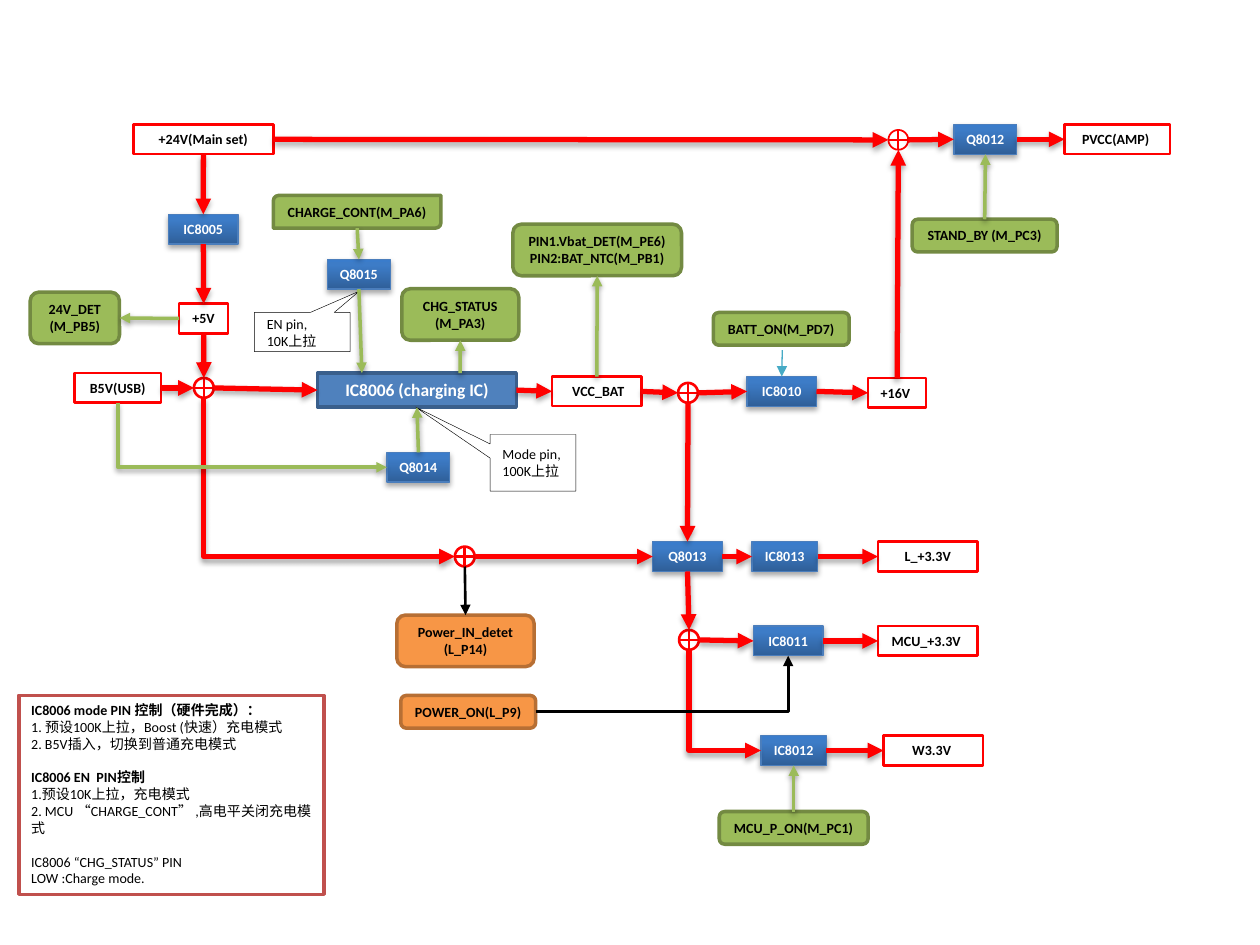
from copy import deepcopy
from lxml.etree import SubElement
from pptx import Presentation
from pptx.dml.color import RGBColor
from pptx.enum.shapes import MSO_CONNECTOR, MSO_SHAPE
from pptx.enum.text import MSO_ANCHOR, MSO_AUTO_SIZE, PP_ALIGN
from pptx.oxml.ns import qn
from pptx.util import Cm, Pt

RED = RGBColor(0xFF, 0x00, 0x00)
WHITE = RGBColor(0xFF, 0xFF, 0xFF)
BLACK = RGBColor(0x00, 0x00, 0x00)
GREEN = RGBColor(0x9B, 0xBB, 0x59)
DARK_GREEN = RGBColor(0x73, 0x8A, 0x42)
ORANGE = RGBColor(0xF7, 0x96, 0x46)
DARK_ORANGE = RGBColor(0xB7, 0x6F, 0x34)
BLUE = RGBColor(0x4F, 0x81, 0xBD)
DARK_BLUE = RGBColor(0x3A, 0x5F, 0x8C)
SWITCH_EDGE = RGBColor(0x4B, 0x7E, 0xBC)
SWITCH_STOPS = [(0, RGBColor(0x2F, 0x5F, 0x99)), (0.8, RGBColor(0x3D, 0x7C, 0xC7)),
                (1, RGBColor(0x3A, 0x7C, 0xCB))]
AQUA = RGBColor(0x46, 0xAA, 0xC5)
NOTE_RED = RGBColor(0xC0, 0x50, 0x4D)


class PowerDiagram:
    font = "Calibri"
    row = 0.6        # height of supply and switch boxes, cm
    junction_size = 0.4

    def __init__(self, slide):
        self.slide = slide

    def box(self, kind, left, top, width, height, fill, edge, weight):
        shape = self.slide.shapes.add_shape(kind, Cm(left), Cm(top), Cm(width), Cm(height))
        shape.shadow.inherit = False
        shape.fill.solid()
        shape.fill.fore_color.rgb = fill
        shape.line.color.rgb = edge
        shape.line.width = Pt(weight)
        return shape

    def label(self, shape, text, color=BLACK, size=8, bold=True, align=PP_ALIGN.CENTER,
              wrap=False, anchor=MSO_ANCHOR.TOP, grow=True):
        frame = shape.text_frame
        frame.text = text
        frame.word_wrap = wrap
        frame.vertical_anchor = anchor
        frame.auto_size = MSO_AUTO_SIZE.SHAPE_TO_FIT_TEXT if grow else MSO_AUTO_SIZE.NONE
        for paragraph in frame.paragraphs:
            paragraph.alignment = align
            for run in paragraph.runs:
                run.font.name = self.font
                run.font.size = Pt(size)
                run.font.bold = bold
                run.font.color.rgb = color
        return shape

    def cast_shadow(self, effects, opacity, distance):
        shadow = SubElement(effects, qn("a:outerShdw"), blurRad="40000", dist=str(distance),
                            dir="5400000", rotWithShape="0")
        black = SubElement(shadow, qn("a:srgbClr"), val="000000")
        SubElement(black, qn("a:alpha"), val=str(opacity * 1000))

    def supply(self, text, left, top, width):
        shape = self.box(MSO_SHAPE.RECTANGLE, left, top, width, self.row, WHITE, RED, 1.5)
        return self.label(shape, text, wrap=True)

    def switch(self, text, left, top, width):
        shape = self.box(MSO_SHAPE.RECTANGLE, left, top, width, self.row, BLUE, SWITCH_EDGE, 0.75)
        shape.fill.gradient()
        shape.fill.gradient_angle = 90
        properties = shape._element.spPr
        stop_list = properties.find(".//" + qn("a:gsLst"))
        stop_list.append(deepcopy(stop_list[-1]))
        for stop, (position, color) in zip(shape.fill.gradient_stops, SWITCH_STOPS):
            stop.position = position
            stop.color.rgb = color
        self.cast_shadow(properties.find(qn("a:effectLst")), 35, 23000)
        return self.label(shape, text, WHITE)

    def signal(self, text, left, top, width, height=0.66, fill=GREEN, edge=DARK_GREEN,
               kind=MSO_SHAPE.FLOWCHART_ALTERNATE_PROCESS, wrap=False):
        return self.label(self.box(kind, left, top, width, height, fill, edge, 2), text, wrap=wrap)

    def junction(self, left, top, weight=1.5):
        return self.box(MSO_SHAPE.FLOWCHART_OR, left, top, self.junction_size,
                        self.junction_size, WHITE, RED, weight)

    def callout(self, text, left, top, width, height, tip):
        shape = self.box(MSO_SHAPE.RECTANGULAR_CALLOUT, left, top, width, height,
                         WHITE, BLACK, 0.25)
        shape.adjustments[0], shape.adjustments[1] = tip
        self.label(shape, text, bold=False, align=PP_ALIGN.LEFT, wrap=True,
                   anchor=MSO_ANCHOR.MIDDLE, grow=False)

    def note(self, sections, left, top, width, height):
        shape = self.box(MSO_SHAPE.RECTANGLE, left, top, width, height, WHITE, NOTE_RED, 2)
        lines = [line for section in sections for line in section]
        self.label(shape, "\n".join(lines), bold=False, align=PP_ALIGN.LEFT, wrap=True)
        openings = [section[0] for section in sections]
        for paragraph in shape.text_frame.paragraphs[1:]:
            if paragraph.text in openings:
                paragraph.space_before = Pt(9.75)
        for paragraph in shape.text_frame.paragraphs:
            if "PIN" in paragraph.text and "控制" in paragraph.text:
                paragraph.runs[0].font.bold = True

    def edge_point(self, shape, side, shift=0):
        fx, fy = {"top": (0.5, 0), "bottom": (0.5, 1), "left": (0, 0.5), "right": (1, 0.5)}[side]
        return int(shape.left + shape.width * fx + Cm(shift)), int(shape.top + shape.height * fy)

    def arrow(self, start, end, color=RED, weight=3, bend=None):
        kind = MSO_CONNECTOR.ELBOW if bend else MSO_CONNECTOR.STRAIGHT
        line = self.slide.shapes.add_connector(kind, *start, *end)
        line.line.color.rgb = color
        line.line.width = Pt(weight)
        properties = line._element.spPr
        SubElement(properties.find(qn("a:ln")), qn("a:tailEnd"), type="triangle")
        effects = SubElement(properties, qn("a:effectLst"))
        if color in (RED, GREEN):
            self.cast_shadow(effects, *((35, 23000) if color == RED else (38, 20000)))
        if bend:
            properties.find(qn("a:prstGeom")).set("prst", "bentConnector2")
        if bend == "down first":
            wide, high = line.width, line.height
            line.left += (wide - high) // 2
            line.top += (high - wide) // 2
            line.width, line.height = high, wide
            frame = properties.find(qn("a:xfrm"))
            frame.set("rot", "16200000")
            frame.set("flipH", "1")

    def link(self, source, out_side, target, in_side, **style):
        self.arrow(self.edge_point(source, out_side), self.edge_point(target, in_side), **style)


prs = Presentation()
prs.slide_width, prs.slide_height = Cm(25.4), Cm(19.05)
diagram = PowerDiagram(prs.slides.add_slide(prs.slide_layouts[6]))

# Supply rails
main_24v = diagram.supply("+24V(Main set)", 2.69, 2.51, 2.82)
rail_5v = diagram.supply("+5V", 3.61, 6.12, 0.99)
usb = diagram.supply("B5V(USB)", 1.5, 7.52, 1.75)
vcc_bat = diagram.supply(" VCC_BAT", 11.13, 7.59, 1.8)
rail_16v = diagram.supply("+16V ", 17.5, 7.62, 1.17)
amp = diagram.supply("PVCC(AMP) ", 21.46, 2.51, 2.13)
logic_3v3 = diagram.supply("L_+3.3V", 17.7, 10.92, 2.01)
mcu_3v3 = diagram.supply("MCU_+3.3V ", 17.7, 12.62, 2.01)
wireless_3v3 = diagram.supply("W3.3V ", 17.81, 14.83, 2.01)

# Regulators and switches
ic8005 = diagram.switch("IC8005", 3.4, 4.32, 1.4)
ic8010 = diagram.switch("IC8010", 15.06, 7.59, 1.4)
ic8011 = diagram.switch("IC8011", 15.19, 12.62, 1.4)
ic8012 = diagram.switch("IC8012", 15.34, 14.83, 1.32)
ic8013 = diagram.switch("IC8013", 15.16, 10.92, 1.32)
q8012 = diagram.switch("Q8012", 19.23, 2.51, 1.27)
q8013 = diagram.switch("Q8013", 13.16, 10.92, 1.4)
q8014 = diagram.switch("Q8014", 7.8, 9.12, 1.27)
charger = diagram.box(MSO_SHAPE.RECTANGLE, 6.4, 7.52, 4.01, 0.69, BLUE, DARK_BLUE, 2)
diagram.label(charger, "IC8006 (charging IC)", WHITE, size=10, wrap=True)

# Control and detection signals
stand_by = diagram.signal("STAND_BY (M_PC3)", 18.39, 4.42, 2.92)
charge_cont = diagram.signal("CHARGE_CONT(M_PA6)", 5.51, 3.94, 3.38,
                             kind=MSO_SHAPE.ROUND_2_DIAG_RECTANGLE)
chg_status = diagram.signal("CHG_STATUS\n(M_PA3)", 8.1, 5.82, 2.36, 1.04)
batt_on = diagram.signal("BATT_ON(M_PD7)", 14.38, 6.3, 2.74)
mcu_p_on = diagram.signal("MCU_P_ON(M_PC1)", 14.5, 16.36, 3)
det_24v = diagram.signal("24V_DET\n(M_PB5)", 0.61, 5.89, 1.8, 1.04)
bat_pins = diagram.signal("PIN1.Vbat_DET(M_PE6)\nPIN2:BAT_NTC(M_PB1)", 10.34, 4.52, 3.4, 1.04)
power_in = diagram.signal("Power_IN_detet (L_P14)", 8, 12.4, 2.77, 1.04,
                          ORANGE, DARK_ORANGE, wrap=True)
power_on = diagram.signal("POWER_ON(L_P9)", 8.08, 14.02, 2.72, 0.66, ORANGE, DARK_ORANGE)

# Junctions
join_5v = diagram.junction(3.91, 7.62)
join_bat = diagram.junction(13.67, 7.72)
join_amp = diagram.junction(17.91, 2.62, weight=1)
join_mcu = diagram.junction(13.69, 12.7)
join_input = diagram.junction(9.17, 11.02)

# Pin callouts, with the EN switch in front of its callout
diagram.callout("Mode pin, 100K上拉", 9.88, 8.76, 1.73, 1.14, (-1.367, -0.984))
diagram.callout("EN pin,\n10K上拉", 5.13, 6.3, 1.93, 0.79, (0.595, -1.044))
q8015 = diagram.switch("Q8015", 6.6, 5.23, 1.27)

# Power paths, left to right
for source, target in [
        (main_24v, join_amp), (join_amp, q8012), (q8012, amp), (usb, join_5v),
        (join_5v, charger), (charger, vcc_bat), (vcc_bat, join_bat), (join_bat, ic8010),
        (ic8010, rail_16v), (join_input, q8013), (q8013, ic8013), (ic8013, logic_3v3),
        (join_mcu, ic8011), (ic8011, mcu_3v3), (ic8012, wireless_3v3)]:
    diagram.link(source, "right", target, "left")

# Power paths, vertical and bent
for source, target in [(main_24v, ic8005), (ic8005, rail_5v), (rail_5v, join_5v),
                       (join_bat, q8013), (q8013, join_mcu)]:
    diagram.link(source, "bottom", target, "top")
diagram.link(rail_16v, "top", join_amp, "bottom")
for source, target in [(join_5v, join_input), (join_mcu, ic8012)]:
    diagram.link(source, "bottom", target, "left", bend="down first")

# Signal paths
signal_style = dict(color=GREEN, weight=2)
for source, target in [(stand_by, q8012), (vcc_bat, bat_pins), (q8014, charger),
                       (mcu_p_on, ic8012)]:
    diagram.link(source, "top", target, "bottom", **signal_style)
diagram.link(charge_cont, "bottom", q8015, "top", **signal_style)
diagram.link(rail_5v, "left", det_24v, "right", **signal_style)
diagram.link(usb, "bottom", q8014, "left", bend="down first", **signal_style)
diagram.arrow(diagram.edge_point(q8015, "bottom"),
              diagram.edge_point(charger, "top", -1.11), **signal_style)
diagram.arrow(diagram.edge_point(charger, "top", 0.87),
              diagram.edge_point(chg_status, "bottom"), **signal_style)
diagram.arrow((Cm(15.77), Cm(7.06)), diagram.edge_point(ic8010, "top"), AQUA, 0.75)
diagram.link(power_on, "right", ic8011, "bottom", color=BLACK, weight=1.5, bend="across first")
diagram.link(join_input, "bottom", power_in, "top", color=BLACK, weight=1.5)

# Charging mode note
diagram.note([
    ["IC8006 mode PIN 控制（硬件完成）：", "1. 预设100K上拉，Boost (快速）充电模式",
     "2. B5V插入，切换到普通充电模式"],
    ["IC8006 EN  PIN控制", "1.预设10K上拉，充电模式",
     "2. MCU “CHARGE_CONT” ,高电平关闭充电模式"],
    ["IC8006 “CHG_STATUS” PIN", "LOW :Charge mode."],
], 0.38, 14.02, 6.15, 4.01)

prs.save("out.pptx")
